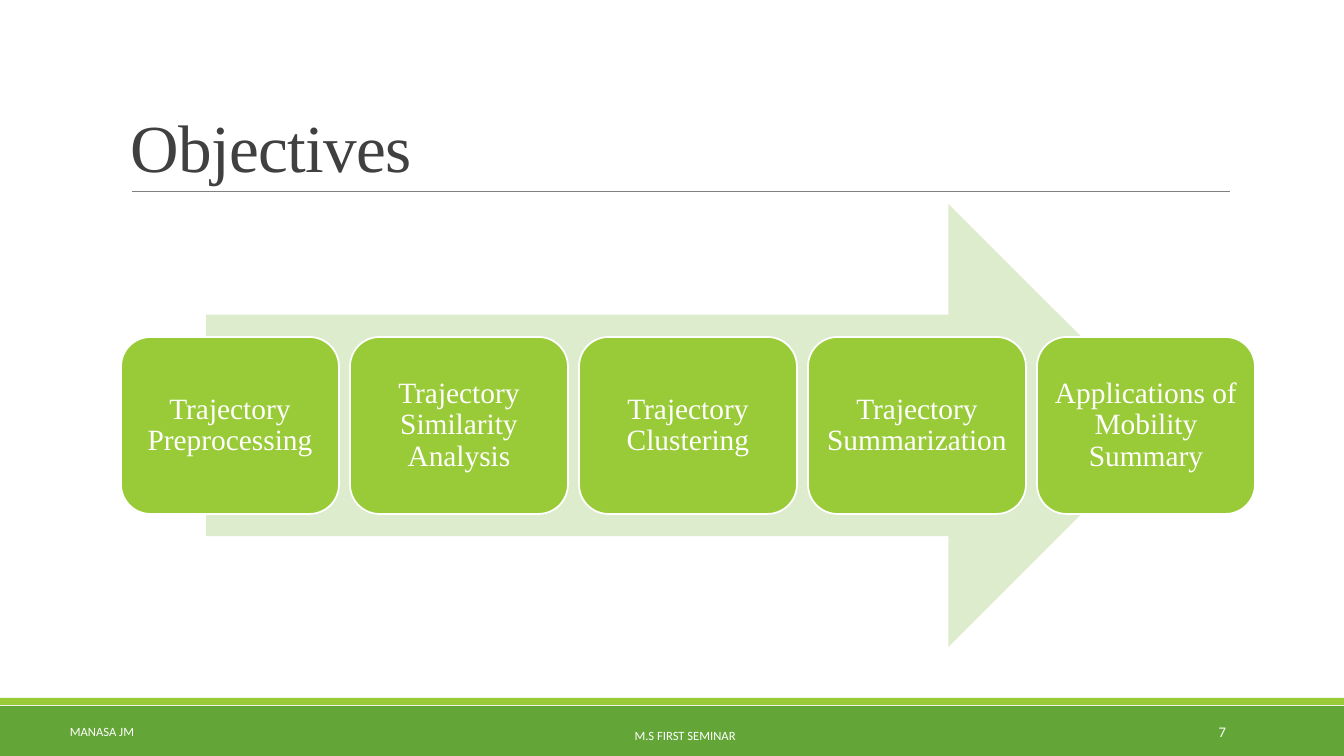
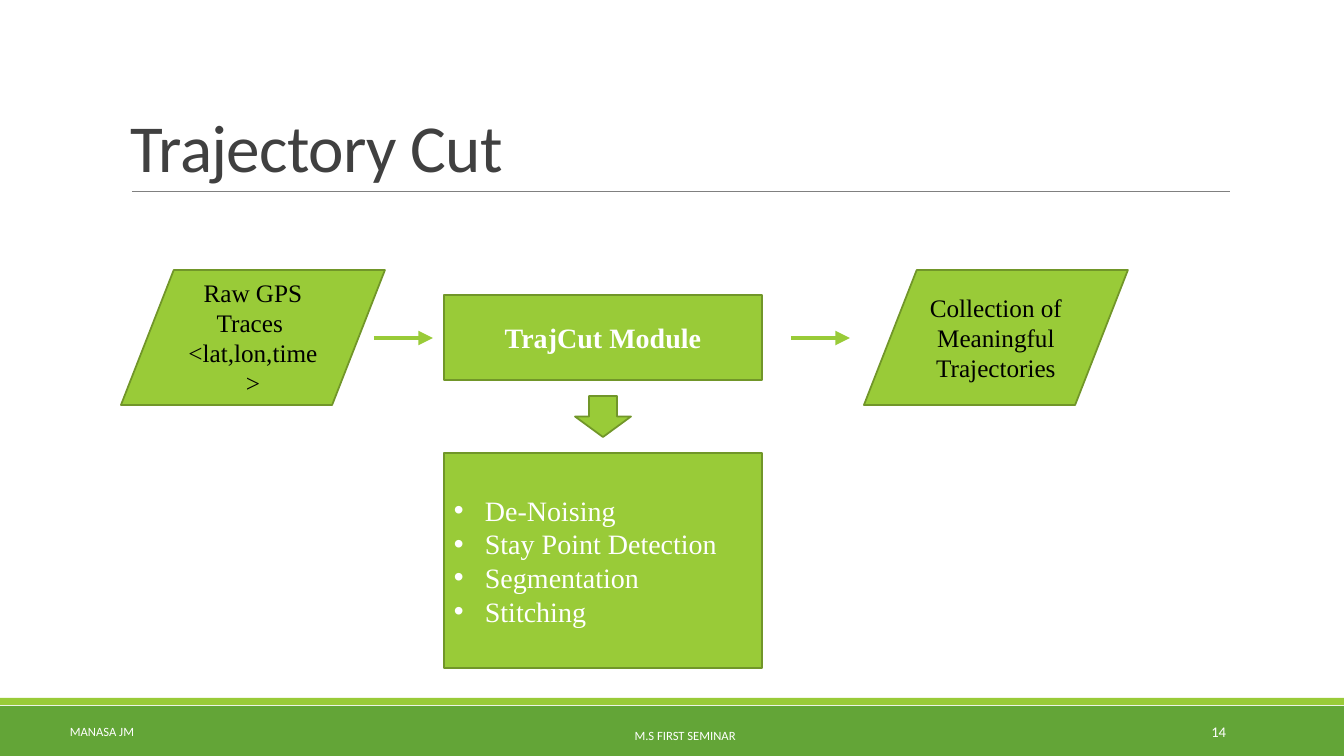
from lxml import etree
from pptx import Presentation
from pptx.dml.color import RGBColor
from pptx.enum.shapes import MSO_CONNECTOR, MSO_SHAPE
from pptx.enum.text import MSO_ANCHOR, PP_ALIGN
from pptx.oxml.ns import qn
from pptx.util import Emu, Pt

RECT, ROUNDED = MSO_SHAPE.RECTANGLE, MSO_SHAPE.ROUNDED_RECTANGLE
RIGHT_ARROW, DOWN_ARROW = MSO_SHAPE.RIGHT_ARROW, MSO_SHAPE.DOWN_ARROW
DATA, PROCESS = MSO_SHAPE.FLOWCHART_DATA, MSO_SHAPE.FLOWCHART_PROCESS
STRAIGHT = MSO_CONNECTOR.STRAIGHT
LEFT, CENTER, RIGHT = PP_ALIGN.LEFT, PP_ALIGN.CENTER, PP_ALIGN.RIGHT
MIDDLE, BOTTOM = MSO_ANCHOR.MIDDLE, MSO_ANCHOR.BOTTOM

WHITE = RGBColor(0xFF, 0xFF, 0xFF)
BLACK = RGBColor(0, 0, 0)
DARK = RGBColor(0x40, 0x40, 0x40)
GRAY = RGBColor(0x80, 0x80, 0x80)
GREEN = RGBColor(0x63, 0xA5, 0x37)
LIME = RGBColor(0x99, 0xCB, 0x38)
LIME_EDGE = RGBColor(0x71, 0x96, 0x29)
PALE = RGBColor(0xDE, 0xEC, 0xCE)
SERIF, SANS = "Times New Roman", "Calibri"

# Content
AUTHOR, EVENT = "MANASA JM", "M.S FIRST SEMINAR "
OBJECTIVES = [
    "Trajectory Preprocessing",
    "Trajectory Similarity Analysis",
    "Trajectory Clustering",
    "Trajectory Summarization",
    "Applications of Mobility Summary",
]
RAW_INPUT = ["Raw GPS Traces ", "<lat,lon,time>"]
MODULE = ["TrajCut Module"]
MODULE_STEPS = ["De-Noising", "Stay Point Detection", "Segmentation", "Stitching"]
RESULT = ["Collection of Meaningful Trajectories"]

SLIDE_W, SLIDE_H = 1344, 756
BULLET_INDENT = 31


def px(length):
    return Emu(round(length * 914400 / 100.8))


def write(shape, lines, size, color, font=SERIF, align=CENTER, anchor=MIDDLE,
          bold=False, spacing=None, bulleted=False):
    frame = shape.text_frame
    frame.word_wrap = True
    frame.vertical_anchor = anchor
    for i, line in enumerate(lines):
        paragraph = frame.paragraphs[0] if i == 0 else frame.add_paragraph()
        paragraph.text = line
        paragraph.alignment = align
        if spacing:
            paragraph.line_spacing = spacing
        if bulleted:
            props = paragraph._p.get_or_add_pPr()
            props.set("marL", str(px(BULLET_INDENT)))
            props.set("indent", str(-px(BULLET_INDENT)))
            etree.SubElement(props, qn("a:buFont")).set("typeface", "Arial")
            etree.SubElement(props, qn("a:buChar")).set("char", "•")
        paragraph.font.name = font
        paragraph.font.size = Pt(size)
        paragraph.font.bold = bold
        paragraph.font.color.rgb = color
    return frame


def add_text(slide, box, line, size, color, **style):
    return write(slide.shapes.add_textbox(*map(px, box)), [line], size, color, **style)


def add_block(slide, kind, box, fill, edge=None):
    block = slide.shapes.add_shape(kind, *map(px, box))
    block.shadow.inherit = False
    block.fill.solid()
    block.fill.fore_color.rgb = fill
    if edge is None:
        block.line.fill.background()
    else:
        block.line.color.rgb = edge
        block.line.width = Pt(1.25)
    return block


def add_line(slide, x1, x2, y, color, width, arrow=False):
    line = slide.shapes.add_connector(STRAIGHT, px(x1), px(y), px(x2), px(y))
    line.line.color.rgb = color
    line.line.width = Pt(width)
    if arrow:
        etree.SubElement(line.line._get_or_add_ln(), qn("a:tailEnd")).set("type", "triangle")
    etree.SubElement(line._element.spPr, qn("a:effectLst"))


def add_page(deck, title, title_font, number):
    """Blank slide with the shared bands, title, rule and footer."""
    slide = deck.slides.add_slide(deck.slide_layouts[6])
    add_block(slide, RECT, (0, 706, SLIDE_W, 50), GREEN)
    add_block(slide, RECT, (0, 698, SLIDE_W, 7), LIME)
    add_line(slide, 132, 1230, 191, GRAY, 0.5)
    heading = add_text(slide, (121, 31, 1109, 160), title, 48, DARK, font=title_font,
                       align=LEFT, anchor=BOTTOM, spacing=0.85)
    heading.paragraphs[0].runs[0]._r.get_or_add_rPr().set("spc", "-50")
    for box, text, size, align in [
        ((1092, 712, 144, 40), str(number), 10.5, RIGHT),
        ((0, 712, 204, 40), AUTHOR, 9, CENTER),
        ((421, 715, 531, 40), EVENT, 9, CENTER),
    ]:
        add_text(slide, box, text, size, WHITE, font=SANS, align=align)
    return slide


def build_objectives(deck):
    slide = add_page(deck, "Objectives", SERIF, 7)
    add_block(slide, RIGHT_ARROW, (206, 204, 964, 443), PALE)
    left, width, gap = 121, 218, 11
    for i, objective in enumerate(OBJECTIVES):
        box = (left + i * (width + gap), 337, width, 177)
        card = add_block(slide, ROUNDED, box, LIME, WHITE)
        frame = write(card, [objective], 21, WHITE, spacing=0.9)
        frame.margin_left = frame.margin_right = px(9)
        frame.margin_top = frame.margin_bottom = px(9)


def build_trajectory_cut(deck):
    slide = add_page(deck, "Trajectory Cut", SANS, 14)
    flow_y = 338

    # Input and result
    for left, lines in [(121, RAW_INPUT), (864, RESULT)]:
        data = add_block(slide, DATA, (left, 270, 264, 135), LIME, LIME_EDGE)
        write(data, lines, 18, BLACK)
    for start in (374, 791):
        add_line(slide, start, start + 59, flow_y, LIME, 3.5, arrow=True)

    # Module and its steps
    left, width, pointer_w = 444, 318, 56
    module = add_block(slide, PROCESS, (left, 295, width, 85), LIME, LIME_EDGE)
    write(module, MODULE, 20, WHITE, bold=True)
    pointer_left = left + (width - pointer_w) // 2
    add_block(slide, DOWN_ARROW, (pointer_left, 396, pointer_w, 41), LIME, LIME_EDGE)
    steps = add_block(slide, PROCESS, (left, 453, width, 215), LIME, LIME_EDGE)
    write(steps, MODULE_STEPS, 20, WHITE, align=LEFT, bulleted=True)


def main():
    deck = Presentation()
    deck.slide_width, deck.slide_height = px(SLIDE_W), px(SLIDE_H)
    build_objectives(deck)
    build_trajectory_cut(deck)
    deck.save("out.pptx")


if __name__ == "__main__":
    main()
